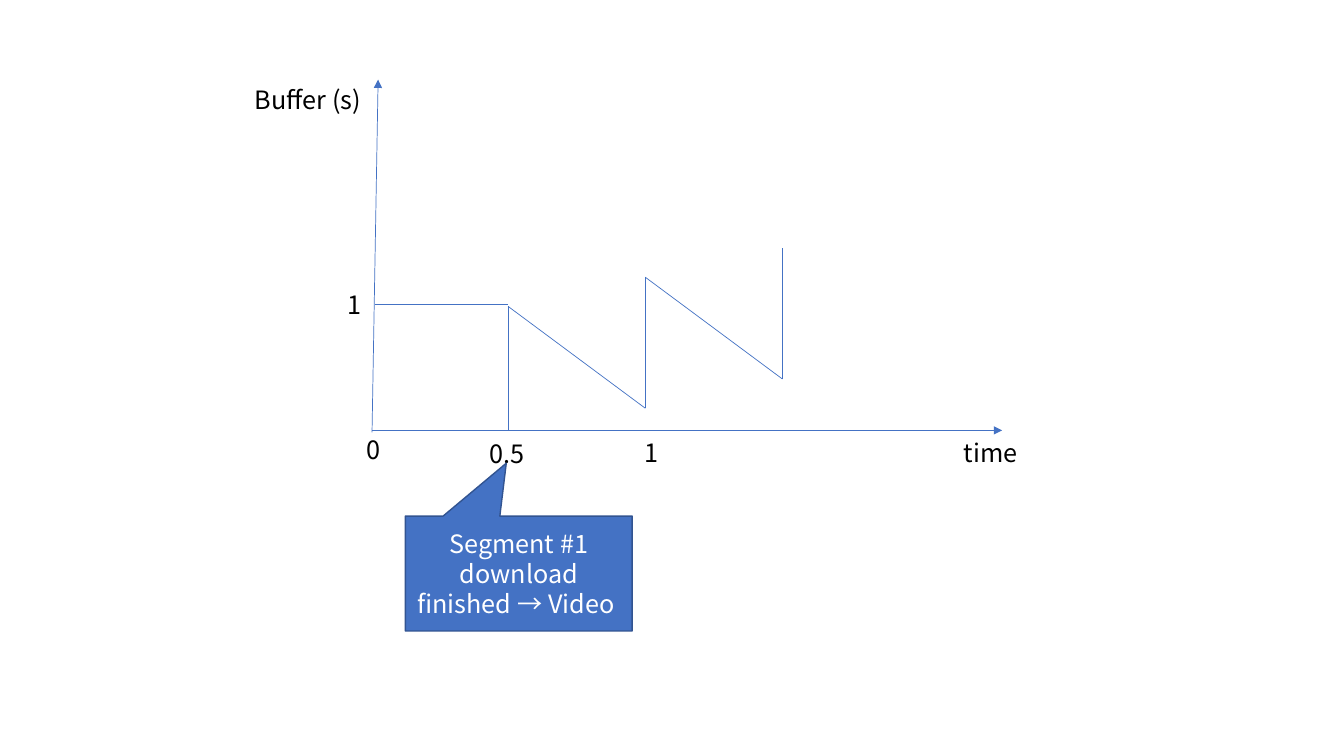
from dataclasses import dataclass

from lxml.etree import SubElement
from pptx import Presentation
from pptx.dml.color import RGBColor
from pptx.enum.shapes import MSO_CONNECTOR as Connector, MSO_SHAPE as Shape
from pptx.enum.text import MSO_ANCHOR as Anchor, MSO_AUTO_SIZE as AutoSize, PP_ALIGN as Align
from pptx.oxml.ns import qn
from pptx.slide import Slide
from pptx.text.text import TextFrame
from pptx.util import Emu, Pt

PX = 9144  # 100 px to the inch
FONT = "Noto Sans CJK JP"
BLUE = RGBColor(0x44, 0x72, 0xC4)
DARK_BLUE = RGBColor(0x32, 0x54, 0x91)
BLACK = RGBColor(0, 0, 0)
WHITE = RGBColor(0xFF, 0xFF, 0xFF)

SEGMENT_WIDTH, DRAIN, REFILL = 136, 101, 130
AXIS_Y = 427
START_X, START_Y = 504, 304


@dataclass(frozen=True)
class Line:
    x1: int
    y1: int
    x2: int
    y2: int
    arrow: bool = False


@dataclass(frozen=True)
class Label:
    text: str
    left: int
    top: int
    width: int
    height: int = 40


AXES = [
    Line(369, AXIS_Y, 994, AXIS_Y, arrow=True),
    Line(369, 429, 375, 79, arrow=True),
]
FIRST_SEGMENT = [
    Line(372, 302, START_X, 302),
    Line(START_X, START_Y, START_X, AXIS_Y),
]
LABELS = [
    Label("Buffer (s)", 243, 79, 132),
    Label("time", 946, 429, 77),
    Label("0", 354, 426, 63),
    Label("0.5", 476, 430, 77),
    Label("1", 629, 429, 77),
    Label("1", 335, 282, 36),
]


def px(length: int) -> Emu:
    return Emu(length * PX)


def sawtooth(segments: int) -> list[Line]:
    """Buffer level: a slow drain, then a jump as the next segment arrives."""
    lines = []
    x, y = START_X, START_Y
    for _ in range(segments):
        end_x, low_y = x + SEGMENT_WIDTH, y + DRAIN
        high_y = low_y - REFILL
        lines += [Line(x, y, end_x, low_y), Line(end_x, low_y, end_x, high_y)]
        x, y = end_x, high_y
    return lines


def draw_line(slide: Slide, line: Line) -> None:
    connector = slide.shapes.add_connector(
        Connector.STRAIGHT, px(line.x1), px(line.y1), px(line.x2), px(line.y2))
    connector.line.color.rgb = BLUE
    connector.line.width = Pt(0.5)
    if line.arrow:
        SubElement(connector.line._get_or_add_ln(), qn("a:tailEnd"), type="triangle")
    SubElement(connector._element.spPr, qn("a:effectLst"))


def write_text(frame: TextFrame, text: str, *, color: RGBColor = BLACK,
               align: Align = Align.LEFT, anchor: Anchor = Anchor.TOP) -> None:
    frame.word_wrap = True
    frame.vertical_anchor = anchor
    paragraph = frame.paragraphs[0]
    paragraph.alignment = align
    run = paragraph.add_run()
    run.text = text
    run.font.name = FONT
    run.font.size = Pt(18)
    run.font.color.rgb = color
    SubElement(run.font._element, qn("a:ea"), typeface=FONT)


def draw_label(slide: Slide, label: Label) -> None:
    box = slide.shapes.add_textbox(
        px(label.left), px(label.top), px(label.width), px(label.height))
    write_text(box.text_frame, label.text)
    box.text_frame.auto_size = AutoSize.SHAPE_TO_FIT_TEXT


def draw_callout(slide: Slide, label: Label) -> None:
    callout = slide.shapes.add_shape(
        Shape.RECTANGULAR_CALLOUT,
        px(label.left), px(label.top), px(label.width), px(label.height))
    callout.adjustments[0] = -0.055
    callout.adjustments[1] = -0.96
    callout.shadow.inherit = False
    callout.fill.solid()
    callout.fill.fore_color.rgb = BLUE
    callout.line.color.rgb = DARK_BLUE
    callout.line.width = Pt(1)
    write_text(callout.text_frame, label.text, color=WHITE,
               align=Align.CENTER, anchor=Anchor.MIDDLE)


def main() -> None:
    deck = Presentation()
    deck.slide_width, deck.slide_height = px(1333), px(750)
    slide = deck.slides.add_slide(deck.slide_layouts[6])
    for line in AXES + FIRST_SEGMENT + sawtooth(2):
        draw_line(slide, line)
    for label in LABELS:
        draw_label(slide, label)
    draw_callout(slide, Label("Segment #1 download finished → Video ", 402, 512, 225, 114))
    deck.save("out.pptx")


if __name__ == "__main__":
    main()
